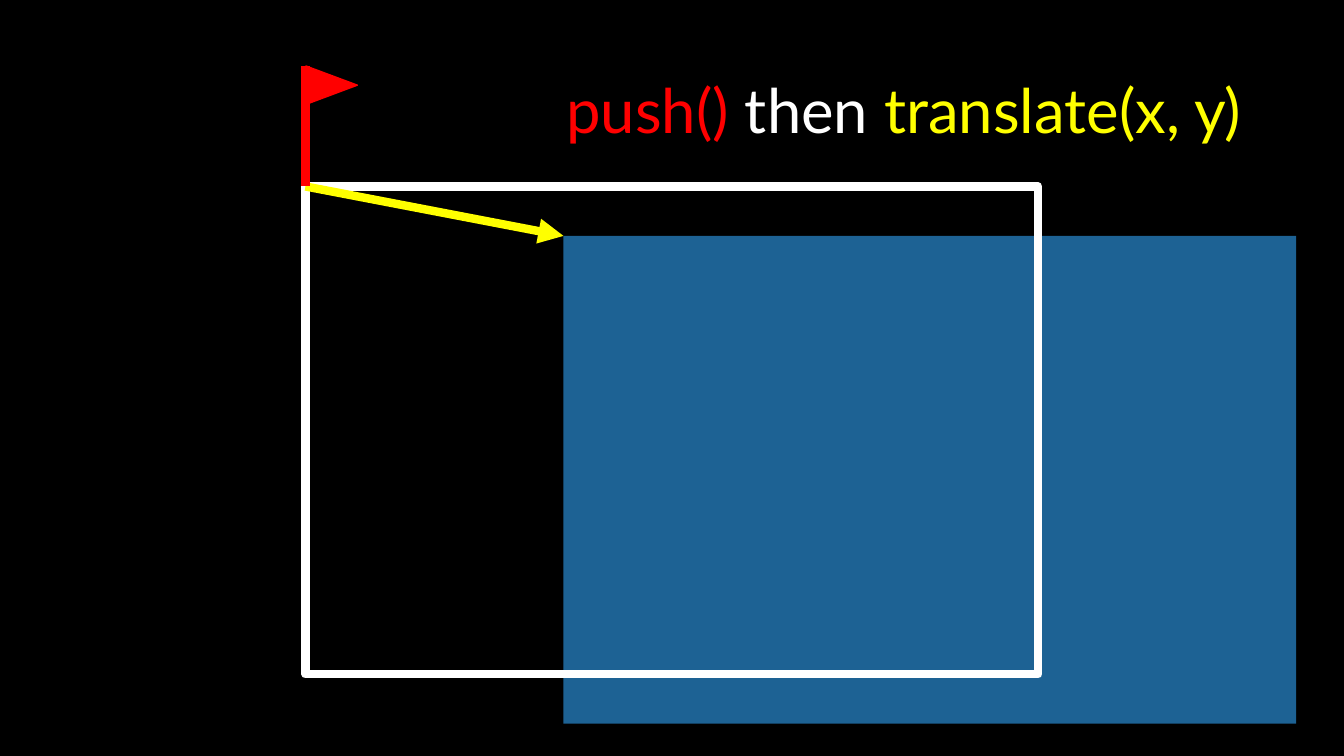
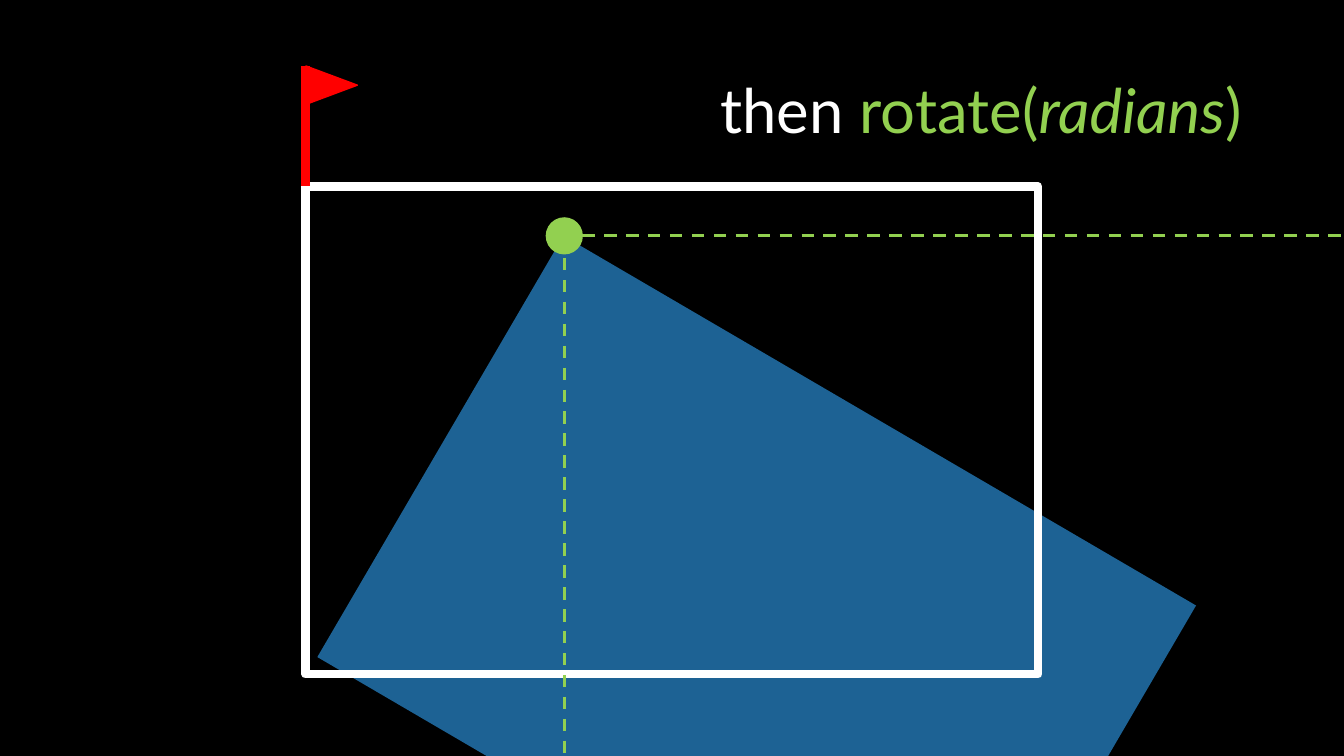
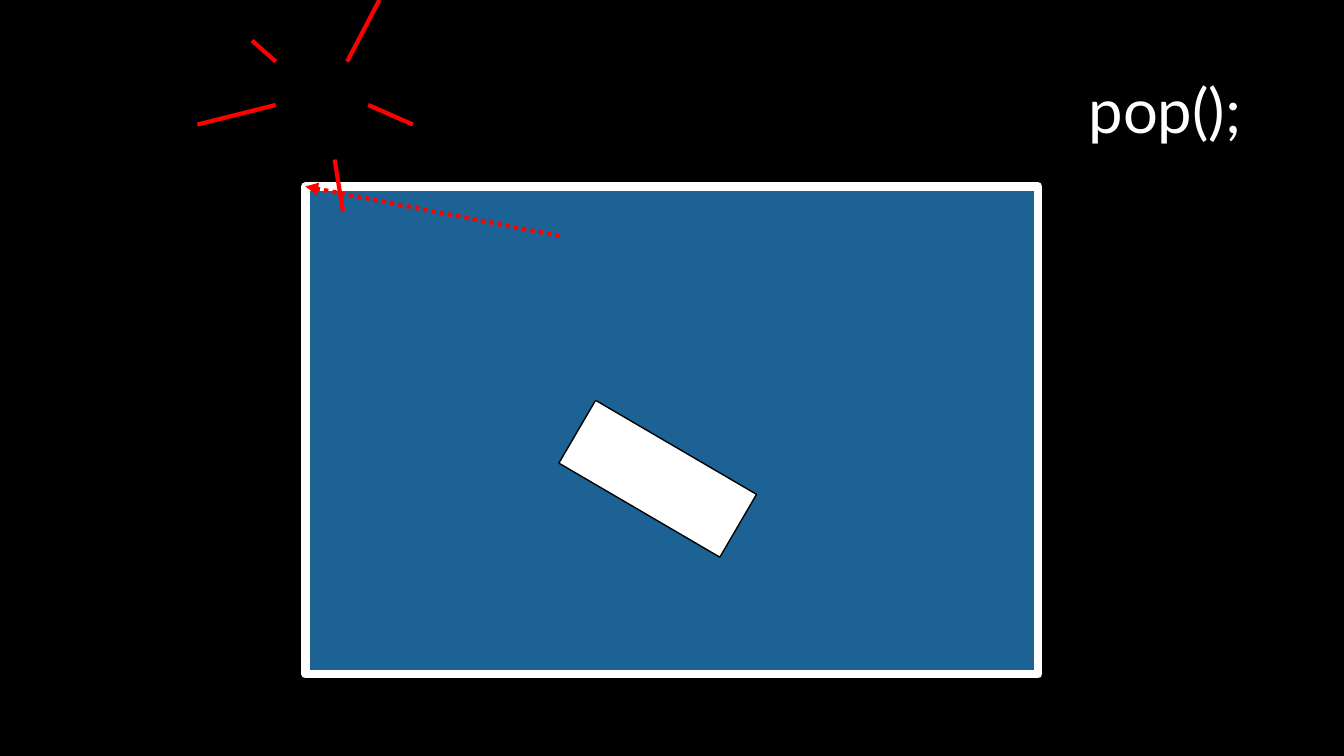
from math import cos, radians, sin

from lxml import etree
from pptx import Presentation
from pptx.dml.color import RGBColor
from pptx.enum.dml import MSO_LINE
from pptx.enum.shapes import MSO_CONNECTOR, MSO_SHAPE
from pptx.enum.text import MSO_ANCHOR, PP_ALIGN
from pptx.oxml.ns import qn
from pptx.util import Pt

RECT, OVAL, TRI = MSO_SHAPE.RECTANGLE, MSO_SHAPE.OVAL, MSO_SHAPE.ISOSCELES_TRIANGLE
LINE = MSO_CONNECTOR.STRAIGHT
DASH, DOTS = MSO_LINE.DASH, MSO_LINE.ROUND_DOT
RIGHT, MIDDLE = PP_ALIGN.RIGHT, MSO_ANCHOR.MIDDLE

COLORS = {
    "black": "000000",
    "white": "FFFFFF",
    "blue": "1D6294",
    "red": "FF0000",
    "yellow": "FFFF00",
    "green": "92D050",
}
FONT = "Lato"
WIDE, HIGH = 960, 540
TITLE = (66, 29, 828, 104)
FRAME = (218.2, 133.2, 523.4, 348.5)
ORIGIN = FRAME[:2]
PIVOT = (402.5, 168.5)
TURN = 30.3


def color(name):
    return RGBColor.from_string(COLORS[name])


def add_text(slide, box, runs, size=44, align=RIGHT, anchor=MIDDLE, spacing=0.9):
    """Each run is (text, colour name, italic)."""
    frame = slide.shapes.add_textbox(*map(Pt, box)).text_frame
    frame.word_wrap = True
    frame.vertical_anchor = anchor
    para = frame.paragraphs[0]
    para.alignment = align
    para.line_spacing = spacing
    for text, hue, italic in runs:
        run = para.add_run()
        run.text = text
        run.font.name = FONT
        run.font.size = Pt(size)
        run.font.italic = italic
        run.font.color.rgb = color(hue)


def add_shape(shapes, kind, box, fill=None, line=None, width=1, turn=0):
    shape = shapes.add_shape(kind, *map(Pt, box))
    shape.shadow.inherit = False
    shape.rotation = turn
    if fill:
        shape.fill.solid()
        shape.fill.fore_color.rgb = color(fill)
    else:
        shape.fill.background()
    if line:
        shape.line.color.rgb = color(line)
        shape.line.width = Pt(width)
    else:
        shape.line.fill.background()


def add_line(shapes, start, end, hue, width, dash=None, arrow=False):
    line = shapes.add_connector(LINE, *map(Pt, (*start, *end)))
    line.line.color.rgb = color(hue)
    line.line.width = Pt(width)
    if dash:
        line.line.dash_style = dash
    if arrow:
        tail = etree.SubElement(line.line._get_or_add_ln(), qn("a:tailEnd"))
        tail.set("type", "triangle")
    etree.SubElement(line._element.spPr, qn("a:effectLst"))


def add_flag(slide, foot):
    """Flag whose pole stands on the point foot."""
    x, y = foot
    shapes = slide.shapes.add_group_shape().shapes
    add_line(shapes, (x, y - 85.7), foot, "red", 6)
    add_shape(shapes, TRI, (x + 5, y - 90.7, 27.4, 36.7), "red", "red", turn=90)


def add_panel(slide, corner, turn=0):
    """Blue canvas, turned about its top left corner."""
    x, y = corner
    w, h = FRAME[2:]
    c, s = cos(radians(turn)), sin(radians(turn))
    mid_x = x + (w * c - h * s) / 2
    mid_y = y + (w * s + h * c) / 2
    box = (mid_x - w / 2, mid_y - h / 2, w, h)
    add_shape(slide.shapes, RECT, box, "blue", turn=turn)


def add_base(deck, runs, corner, turn=0):
    """Black slide with canvas, title and white frame."""
    slide = deck.slides.add_slide(deck.slide_layouts[6])
    slide.background.fill.solid()
    slide.background.fill.fore_color.rgb = color("black")
    add_panel(slide, corner, turn)
    add_text(slide, TITLE, runs)
    add_shape(slide.shapes, RECT, FRAME, line="white", width=6)
    return slide


def add_axes(slide, point):
    """Green dot with dashed axes running to the slide edges."""
    x, y = point
    r = 13.3
    add_shape(slide.shapes, OVAL, (x + 0.6 - r, y - r, 2 * r, 2 * r), "green")
    add_line(slide.shapes, (x + 0.6, y), (x + 0.6, HIGH), "green", 2.25, DASH)
    add_line(slide.shapes, (x + r, y), (WIDE, y), "green", 2.25, DASH)


def add_burst(slide, center):
    """Rays around the place where the flag was."""
    x, y = center
    rays = [
        (-33, -36, -50, -51),
        (-33, -5, -89, 9),
        (18, -36, 41, -80),
        (33, -5, 65, 9),
        (9, 34, 15, 71),
    ]
    for x1, y1, x2, y2 in rays:
        add_line(slide.shapes, (x + x1, y + y1), (x + x2, y + y2), "red", 3)


def move_slide(deck):
    runs = [("push() ", "red", False), ("then ", "white", False),
            ("translate(x, y)", "yellow", False)]
    slide = add_base(deck, runs, PIVOT)
    add_line(slide.shapes, ORIGIN, PIVOT, "yellow", 6, arrow=True)
    add_flag(slide, ORIGIN)


def turn_slide(deck):
    runs = [("then ", "white", False), ("rotate(", "green", False),
            ("radians", "green", True), (")", "green", False)]
    slide = add_base(deck, runs, PIVOT, TURN)
    add_flag(slide, ORIGIN)
    add_axes(slide, PIVOT)


def pop_slide(deck):
    slide = add_base(deck, [("pop();", "white", False)], ORIGIN)
    # Drawn box keeps its turn
    add_shape(slide.shapes, RECT, (403.2, 316, 133.2, 52), "white", "black", turn=TURN)
    add_burst(slide, (230, 80))
    # Way back to the origin
    add_line(slide.shapes, (399.6, PIVOT[1]), ORIGIN, "red", 3, DOTS, arrow=True)


def main():
    deck = Presentation()
    deck.slide_width, deck.slide_height = Pt(WIDE), Pt(HIGH)
    move_slide(deck)
    turn_slide(deck)
    pop_slide(deck)
    deck.save("out.pptx")


if __name__ == "__main__":
    main()
